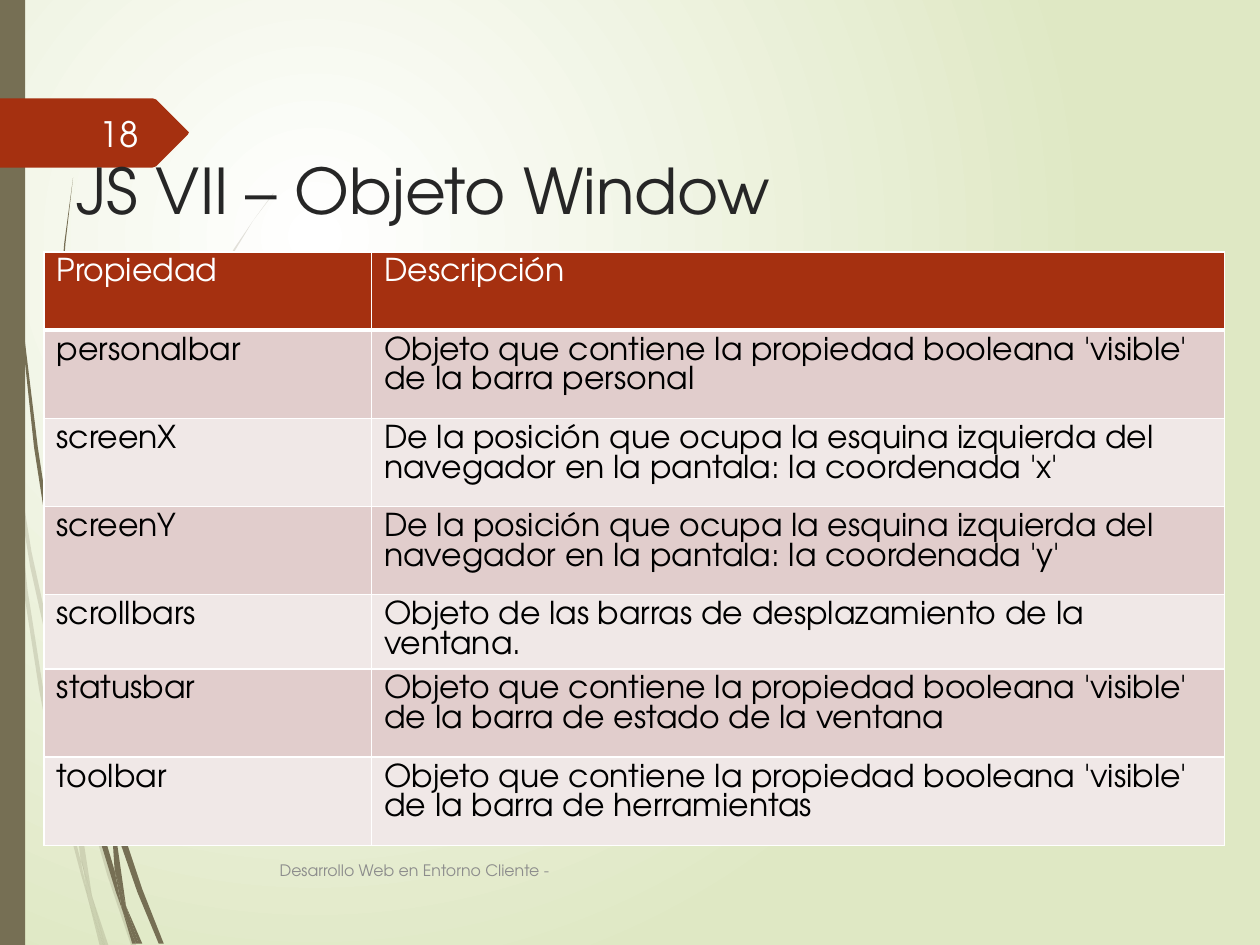
import pptx
import pptx.dml.color
import pptx.enum.dml
import pptx.enum.shapes
import pptx.enum.text
import pptx.oxml
import pptx.oxml.ns
import pptx.util
from pptx.util import Inches

RGBColor = pptx.dml.color.RGBColor
WHITE = RGBColor(0xFF, 0xFF, 0xFF)
PALE_GREEN = RGBColor(0xDF, 0xE8, 0xC4)
OLIVE = RGBColor(0x76, 0x6F, 0x54)
RUST = RGBColor(0xA5, 0x30, 0x10)
TITLE_GRAY = RGBColor(0x26, 0x26, 0x26)
FOOTER_GRAY = RGBColor(0x8C, 0x8C, 0x8C)
BLACK = RGBColor(0, 0, 0)
ROSE = RGBColor(0xE1, 0xCD, 0xCC)
LIGHT_ROSE = RGBColor(0xF0, 0xE8, 0xE7)
FONT = "TeX Gyre Adventor"
NAMESPACE = pptx.oxml.ns.nsdecls("a")
LEFT = pptx.enum.text.PP_ALIGN.LEFT
RIGHT = pptx.enum.text.PP_ALIGN.RIGHT
TOP = pptx.enum.text.MSO_ANCHOR.TOP
MIDDLE = pptx.enum.text.MSO_ANCHOR.MIDDLE

# Outlines of the grass blades, in inches
FAINT_BLADES = [
    [(0.08, 3.5), (0.06, 3.22), (0, 2.82), (0, 2.99), (0.07, 3.44)],
    [(0.4, 5.22), (0.59, 5.99), (0.59, 5.86), (0.43, 5.2), (0.25, 4.38), (0.1, 3.45),
     (0.12, 3.76), (0.24, 4.5)],
    [(0.64, 6.07), (0.61, 5.96), (0.61, 6.1), (0.85, 6.94), (1.04, 7.5), (1.08, 7.5),
     (0.88, 6.92)],
    [(0.83, 7.5), (0.86, 7.5), (0.73, 7.11)],
    [(0.64, 6.83), (0.48, 6.19), (0.34, 5.45), (0.22, 4.69), (0.12, 3.76), (0.08, 3.5),
     (0.19, 4.7), (0.31, 5.47), (0.45, 6.21), (0.64, 6.93), (0.7, 7.14), (0.69, 7.07)],
    [(0.58, 5.99), (0.6, 6.46), (0.64, 6.83), (0.73, 7.11), (0.63, 6.46), (0.61, 6.1)],
    [(0.61, 5.84), (0.76, 4.62), (1.11, 3.49), (1.59, 2.45), (1.87, 1.98), (2.01, 1.75),
     (2.17, 1.54), (2.17, 1.53), (2.01, 1.75), (1.86, 1.97), (1.58, 2.44), (1.1, 3.48),
     (0.75, 4.61), (0.59, 5.84), (0.61, 5.96)],
    [(0.7, 7.14), (0.79, 7.5), (0.82, 7.5)],
    [(0.61, 6.08), (0.61, 5.96), (0.59, 5.86), (0.58, 5.99)],
    [(0.67, 6.92), (0.65, 6.83), (0.7, 7.14), (0.82, 7.5), (0.83, 7.5), (0.73, 7.11)],
]
SOLID_BLADES = [
    [(0.05, 1.1), (0.14, 2.33), (0.27, 3.55), (0.46, 4.77), (0.47, 4.81), (0.45, 4.53),
     (0.3, 3.55), (0.15, 2.32), (0.06, 1.09), (0.04, 0.48), (0.03, 0), (0.02, 0),
     (0.03, 0.48)],
    [(0.73, 5.92), (0.88, 6.45), (0.88, 6.31), (0.77, 5.9), (0.62, 5.32), (0.5, 4.72),
     (0.53, 5.05)],
    [(0.94, 6.49), (0.91, 6.41), (0.91, 6.56), (1.09, 7.08), (1.26, 7.49), (1.3, 7.49),
     (1.13, 7.06)],
    [(0.91, 6.91), (0.81, 6.57), (0.6, 5.56), (0.53, 5.05), (0.47, 4.77), (0.56, 5.57),
     (0.77, 6.59), (0.92, 7.08), (0.97, 7.22), (0.96, 7.17)],
    [(0.5, 4.72), (0.48, 4.53), (0.44, 3.49), (0.48, 2.45), (0.52, 1.93), (0.58, 1.41),
     (0.51, 1.93), (0.47, 2.45), (0.43, 3.49), (0.45, 4.49), (0.49, 4.72)],
    [(1.1, 7.49), (1.13, 7.49), (1, 7.19)],
    [(0.47, 4.77), (0.53, 5.05), (0.5, 4.72), (0.45, 4.49)],
    [(0.91, 6.33), (1.03, 5.52), (1.31, 4.76), (1.69, 4.06), (1.91, 3.74), (2.16, 3.44),
     (2.15, 3.44), (1.91, 3.73), (1.68, 4.05), (1.29, 4.74), (1.01, 5.51), (0.88, 6.31),
     (0.91, 6.41)],
    [(0.97, 7.22), (1.05, 7.49), (1.08, 7.49)],
    [(0.88, 6.45), (0.91, 6.91), (1, 7.19), (0.91, 6.56)],
    [(0.88, 6.45), (0.91, 6.56), (0.91, 6.41), (0.88, 6.31)],
    [(0.96, 7.06), (0.91, 6.91), (0.97, 7.22), (1.08, 7.49), (1.1, 7.49), (1, 7.19)],
]
PAGE_TAG = [(0, 0.78), (1.21, 0.78), (1.24, 0.79), (1.49, 1.04), (1.5, 1.05),
            (1.49, 1.07), (1.24, 1.32), (1.21, 1.33), (0, 1.33)]

VISIBLE = "Objeto que contiene la propiedad booleana 'visible' de la barra "
POSITION = ("De la posición que ocupa la esquina izquierda del navegador "
            "en la pantala: la coordenada ")
ROWS = [
    ("Propiedad", "Descripción", 0.62),
    ("personalbar", VISIBLE + "personal", 0.7),
    ("screenX", POSITION + "'x'", 0.7),
    ("screenY", POSITION + "'y'", 0.7),
    ("scrollbars", "Objeto de las barras de desplazamiento de la ventana.", 0.59),
    ("statusbar", VISIBLE + "de estado de la ventana", 0.7),
    ("toolbar", VISIBLE + "de herramientas", 0.7),
]

deck = pptx.Presentation()
deck.slide_width, deck.slide_height = Inches(10), Inches(7.5)
page = deck.slides.add_slide(deck.slide_layouts[6])

backdrop = page.background.fill
backdrop.gradient()
for stop, color in zip(backdrop.gradient_stops, (WHITE, PALE_GREEN)):
    stop.color.rgb = color
gradient = page.element.find(".//" + pptx.oxml.ns.qn("a:gradFill"))
linear = gradient.find(pptx.oxml.ns.qn("a:lin"))
gradient.replace(linear, pptx.oxml.parse_xml(
    f'<a:path {NAMESPACE} path="circle">'
    '<a:fillToRect l="50000" t="50000" r="100000" b="100000"/></a:path>'))


def add_outline(points, color, opacity=100):
    """Draw a closed, filled outline through points given in inches."""
    corners = [(Inches(x), Inches(y)) for x, y in points]
    builder = page.shapes.build_freeform(*corners[0])
    builder.add_line_segments(corners[1:], close=True)
    shape = builder.convert_to_shape()
    shape.shadow.inherit = False
    shape.line.fill.background()
    shape.fill.solid()
    shape.fill.fore_color.rgb = color
    if opacity < 100:
        tint = shape.element.spPr.find(".//" + pptx.oxml.ns.qn("a:srgbClr"))
        tint.append(pptx.oxml.parse_xml(f'<a:alpha {NAMESPACE} val="{opacity * 1000}"/>'))


def style_text(frame, text, size, color):
    """Fill a text frame with one styled paragraph and return the paragraph."""
    frame.text = text
    para = frame.paragraphs[0]
    for span in para.runs:
        span.font.name = FONT
        span.font.size = pptx.util.Pt(size)
        span.font.color.rgb = color
    return para


for blade in FAINT_BLADES:
    add_outline(blade, OLIVE, 20)
for blade in SOLID_BLADES:
    add_outline(blade, OLIVE)

side_bar = page.shapes.add_shape(
    pptx.enum.shapes.MSO_SHAPE.RECTANGLE, 0, 0, Inches(0.2), Inches(7.5))
side_bar.shadow.inherit = False
side_bar.fill.solid()
side_bar.fill.fore_color.rgb = OLIVE
side_bar.line.fill.background()
add_outline(PAGE_TAG, RUST)

for text, left, top, width, height, size, color, align, anchor in [
    ("JS VII – Objeto Window", 0.51, 1.15, 9, 0.87, 36, TITLE_GRAY, LEFT, TOP),
    ("Desarrollo Web en Entorno Cliente - ", 2.12, 6.71, 6.25, 0.4, 9, FOOTER_GRAY,
     LEFT, MIDDLE),
    ("18", 0.56, 0.86, 0.64, 0.4, 20, WHITE, RIGHT, MIDDLE),
]:
    box = page.shapes.add_textbox(Inches(left), Inches(top), Inches(width), Inches(height))
    box.text_frame.word_wrap = True
    box.text_frame.vertical_anchor = anchor
    style_text(box.text_frame, text, size, color).alignment = align

table = page.shapes.add_table(
    len(ROWS), 2, Inches(0.35), Inches(2), Inches(9.37), Inches(4.71)).table
table.columns[0].width, table.columns[1].width = Inches(2.6), Inches(6.77)
for index, (name, description, height) in enumerate(ROWS):
    table.rows[index].height = Inches(height)
    is_header = index == 0
    for column, text in enumerate((name, description)):
        cell = table.cell(index, column)
        para = style_text(cell.text_frame, text, 18, WHITE if is_header else BLACK)
        para.line_spacing = pptx.util.Pt(17)
        properties = cell._tc.get_or_add_tcPr()
        for side in ("lnL", "lnR", "lnT", "lnB"):
            points = 3 if is_header and side == "lnB" else 1
            properties.append(pptx.oxml.parse_xml(
                f'<a:{side} {NAMESPACE} w="{points * 12700}"><a:solidFill>'
                f'<a:srgbClr val="{WHITE}"/></a:solidFill></a:{side}>'))
        cell.fill.solid()
        cell.fill.fore_color.rgb = RUST if is_header else (LIGHT_ROSE, ROSE)[index % 2]

deck.save("out.pptx")
